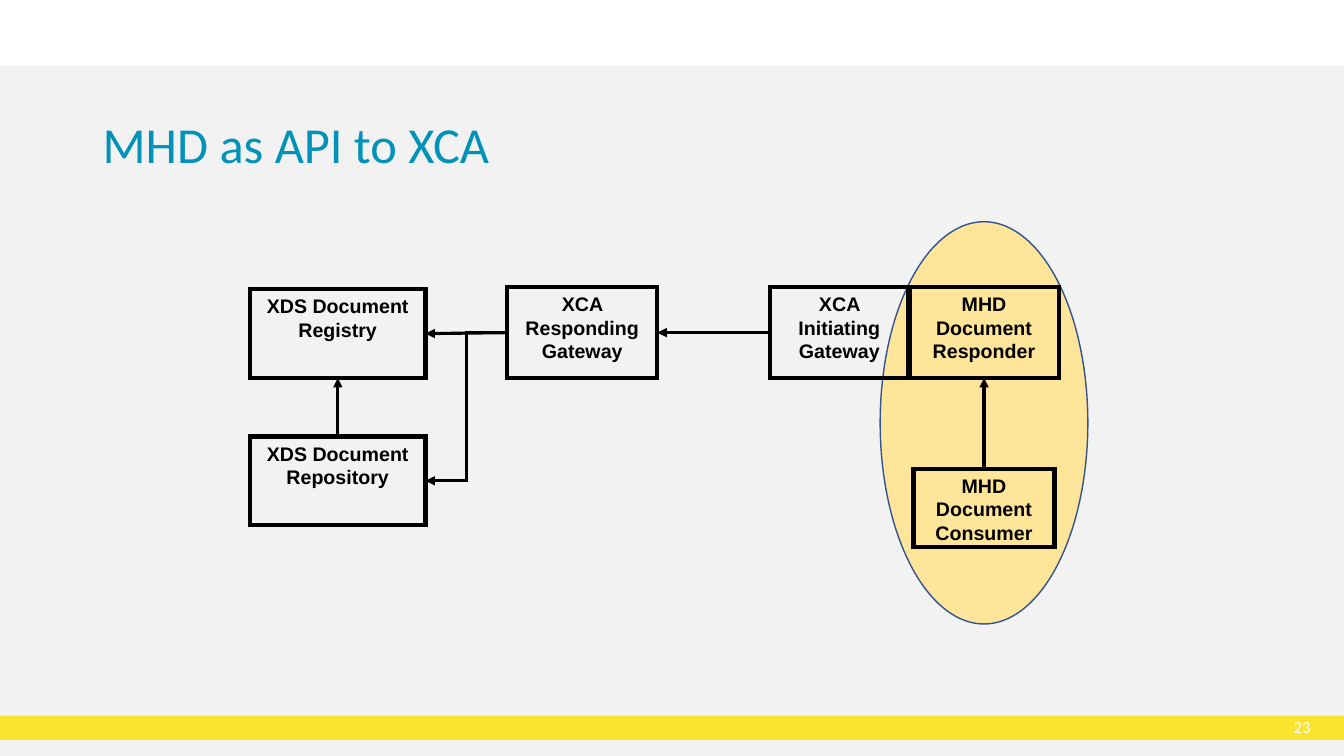
from lxml.etree import SubElement
from pptx import Presentation
from pptx.dml.color import RGBColor
from pptx.enum.shapes import MSO_CONNECTOR as Link, MSO_SHAPE as Shape
from pptx.enum.text import MSO_ANCHOR as Anchor, PP_ALIGN as Align
from pptx.oxml.ns import qn
from pptx.util import Pt

SCALE = 9144
TOP, LEFT, BOTTOM, RIGHT = range(4)


def px(*sizes):
    return [size * SCALE for size in sizes]


def color(code):
    return RGBColor.from_string(code)


def stroke(line, code, width):
    line.color.rgb = color(code)
    line.width = Pt(width)


def write(frame, text, size, font, code, align, bold=False):
    frame.word_wrap = True
    frame.text = text
    par = frame.paragraphs[0]
    par.alignment = align
    par.font.size = Pt(size)
    par.font.name = font
    par.font.bold = bold
    par.font.color.rgb = color(code)
    return par


def block(slide, kind, box, fill=None):
    shape = slide.shapes.add_shape(kind, *px(*box))
    shape.shadow.inherit = False
    if fill:
        shape.fill.solid()
        shape.fill.fore_color.rgb = color(fill)
    else:
        shape.fill.background()
    shape.line.fill.background()
    return shape


def backdrop(slide, box):
    x, y, w, h = box
    block(slide, Shape.RECTANGLE, box, "F2F2F2")
    block(slide, Shape.RECTANGLE, (x, y + h - 40, w, 24), "FCE32D")
    number = slide.shapes.add_textbox(*px(x + w - 74, y + h - 40, 41, 23))
    frame = number.text_frame
    frame.margin_left = frame.margin_right = 0
    frame.margin_top = frame.margin_bottom = 0
    frame.vertical_anchor = Anchor.MIDDLE
    write(frame, "23", 12, "Calibri", "FFFFFF", Align.RIGHT)


def title(slide, box):
    frame = slide.shapes.add_textbox(*px(*box)).text_frame
    par = write(frame, "MHD as API to XCA", 36, "Calibri", "0092B9", Align.LEFT)
    par.line_spacing = 0.9


def actor(slide, text, box):
    shape = block(slide, Shape.RECTANGLE, box)
    stroke(shape.line, "000000", 3)
    SubElement(shape.line._get_or_add_ln(), qn("a:miter"), lim="800000")
    shape.text_frame.vertical_anchor = Anchor.TOP
    write(shape.text_frame, text, 14, "Arial", "000000", Align.CENTER, True)
    return shape


def arrow(slide, kind, start, exit, end, entry):
    link = slide.shapes.add_connector(kind, 0, 0, 0, 0)
    link.begin_connect(start, exit)
    link.end_connect(end, entry)
    stroke(link.line, "000000", 2.25)
    line = link.line._get_or_add_ln()
    SubElement(line, qn("a:miter"), lim="800000")
    SubElement(line, qn("a:tailEnd"), type="triangle")
    SubElement(link._element.spPr, qn("a:effectLst"))


def diagram(slide, box):
    x, y, w, h = box
    oval = block(slide, Shape.OVAL, (x + w - 206, y, 206, h), "FEE599")
    stroke(oval.line, "31538F", 1)
    places = {
        "XCA Initiating Gateway": (516, 65, 137, 90),
        "XDS Document Registry": (0, 67, 174, 88),
        "XDS Document Repository": (0, 213, 174, 88),
        "MHD Document Responder": (654, 65, 148, 90),
        "MHD Document Consumer": (658, 245, 140, 78),
        "XCA Responding Gateway": (255, 65, 149, 90),
    }
    asker, index, store, server, client, reply = [
        actor(slide, name, (x + left, y + top, wide, high))
        for name, (left, top, wide, high) in places.items()
    ]
    for kind, start, exit, end, entry in [
        (Link.STRAIGHT, store, TOP, index, BOTTOM),
        (Link.STRAIGHT, asker, LEFT, reply, RIGHT),
        (Link.STRAIGHT, client, TOP, server, BOTTOM),
        (Link.STRAIGHT, reply, LEFT, index, RIGHT),
        (Link.ELBOW, reply, LEFT, store, RIGHT),
    ]:
        arrow(slide, kind, start, exit, end, entry)


def main():
    deck = Presentation()
    deck.slide_width, deck.slide_height = px(1333, 750)
    slide = deck.slides.add_slide(deck.slide_layouts[6])
    backdrop(slide, (0, 65, 1333, 685))
    title(slide, (92, 114, 1150, 97))
    diagram(slide, (248, 220, 831, 399))
    deck.save("out.pptx")


if __name__ == "__main__":
    main()
